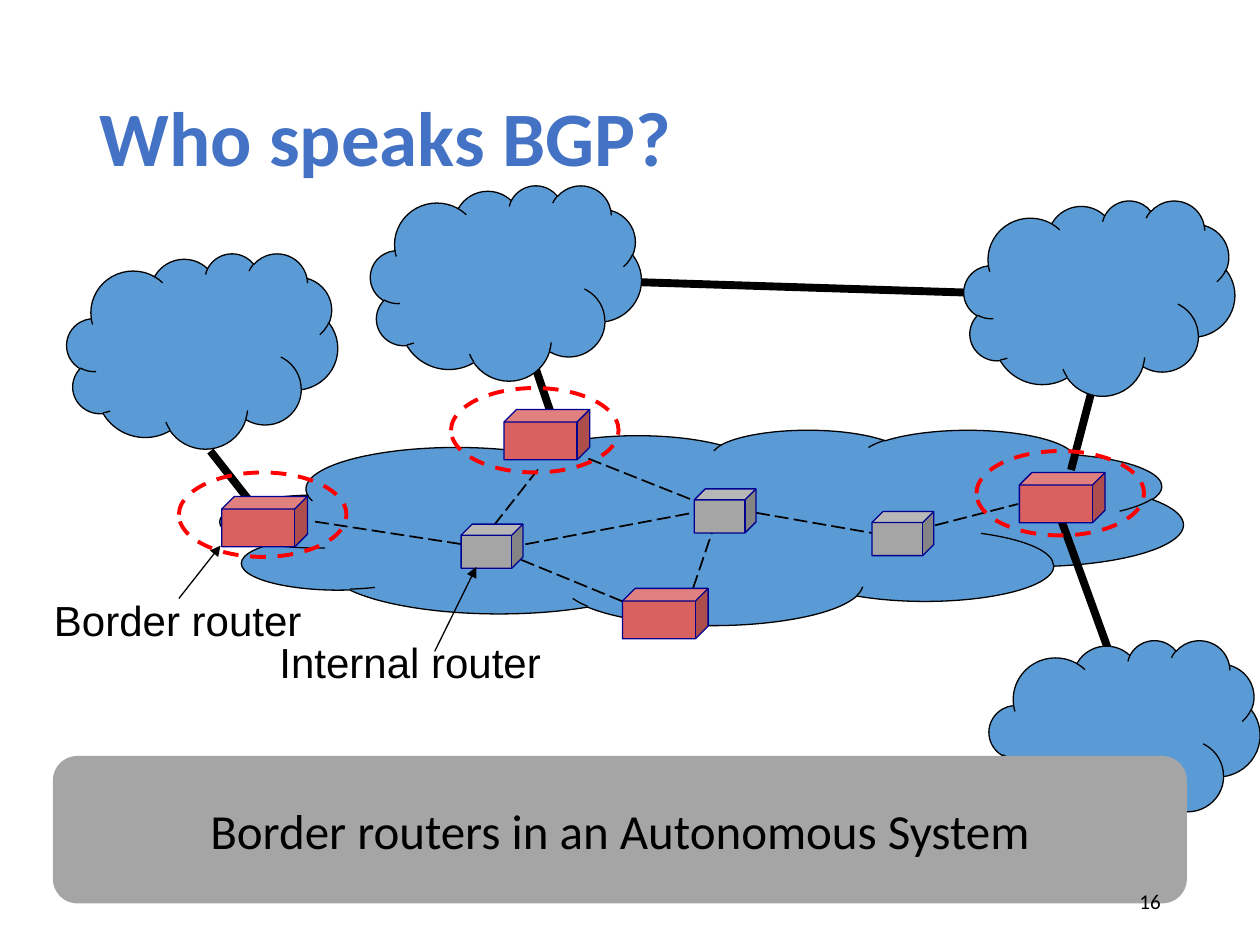
"""Build the slide that shows which routers of an autonomous system speak BGP."""
import pptx
import pptx.dml.color
import pptx.enum.dml
import pptx.enum.shapes
import pptx.enum.text
import pptx.oxml
import pptx.oxml.ns
import pptx.util

Inches = pptx.util.Inches
Pt = pptx.util.Pt
RGBColor = pptx.dml.color.RGBColor
SHAPE = pptx.enum.shapes.MSO_SHAPE
DASH = pptx.enum.dml.MSO_LINE
ALIGN = pptx.enum.text.PP_ALIGN
ANCHOR = pptx.enum.text.MSO_ANCHOR
AUTO = pptx.enum.text.MSO_AUTO_SIZE

BLACK = RGBColor(0x00, 0x00, 0x00)
TITLE_BLUE = RGBColor(0x44, 0x72, 0xC4)
CLOUD_BLUE = RGBColor(0x5B, 0x9B, 0xD5)
GRAY = RGBColor(0xA5, 0xA5, 0xA5)
ROUTER_RED = RGBColor(0xD9, 0x61, 0x5F)
ROUTER_EDGE = RGBColor(0x00, 0x00, 0x90)
RING_RED = RGBColor(0xFF, 0x00, 0x00)


def add_shape(kind, box, fill=None, line=None, width=0.75):
    sp = s.shapes.add_shape(kind, *map(Inches, box))
    sp.shadow.inherit = False
    if fill is None:
        sp.fill.background()
    else:
        sp.fill.solid()
        sp.fill.fore_color.rgb = fill
    if line is None:
        sp.line.fill.background()
    else:
        sp.line.color.rgb = line
        sp.line.width = Pt(width)
    return sp


def add_line(ends, width, dash=None, arrow=False):
    cx = s.shapes.add_connector(pptx.enum.shapes.MSO_CONNECTOR.STRAIGHT, *map(Inches, ends))
    cx.line.color.rgb = BLACK
    cx.line.width = Pt(width)
    if dash is not None:
        cx.line.dash_style = dash
    if arrow:
        tail = pptx.oxml.parse_xml(f'<a:tailEnd {pptx.oxml.ns.nsdecls("a")} type="triangle"/>')
        cx.line._get_or_add_ln().append(tail)
    cx._element.spPr.append(pptx.oxml.parse_xml(f'<a:effectLst {pptx.oxml.ns.nsdecls("a")}/>'))


prs = pptx.Presentation()
prs.slide_width = Inches(10)
prs.slide_height = Inches(7.5)
s = prs.slides.add_slide(prs.slide_layouts[5])

title = s.shapes.title
title.left, title.top, title.width, title.height = map(Inches, (0.69, 0.4, 8.62, 1.45))
tf = title.text_frame
tf.text = "Who speaks BGP?"
tf.vertical_anchor = ANCHOR.MIDDLE
p = tf.paragraphs[0]
p.alignment = ALIGN.LEFT
p.line_spacing = 0.9
r = p.runs[0]
r.font.color.rgb = TITLE_BLUE
for name, value in {"name": "Calibri", "size": Pt(44), "bold": True}.items():
    setattr(r.font, name, value)

add_shape(SHAPE.CLOUD, (1.75, 3.41, 7.64, 1.55), CLOUD_BLUE, BLACK)

external_links = [
    (5.08, 2.24, 7.92, 2.33),
    (8.83, 5.25, 8.42, 4.12),
    (1.67, 3.58, 2, 4),
    (4.25, 2.92, 4.42, 3.42),
    (8.67, 3.08, 8.5, 3.73),
]
for ends in external_links:
    add_line(ends, 4.5)

internal_links = [
    (2.5, 4.14, 3.67, 4.32),
    (3.92, 4.17, 4.29, 3.7),
    (4.17, 4.32, 5.5, 4.07),
    (5.5, 4.67, 5.67, 4.17),
    (7.42, 4.17, 8.08, 4),
    (5.08, 4.83, 4.08, 4.42),
    (6, 4.07, 6.92, 4.23),
    (4.67, 3.64, 5.5, 3.97),
]
for ends in internal_links:
    add_line(ends, 1, DASH.LONG_DASH)

for left, top in [(1.42, 3.75), (3.58, 3.08), (7.75, 3.58)]:
    ring = add_shape(SHAPE.OVAL, (left, top, 1.33, 0.67), line=RING_RED, width=2.25)
    ring.line.dash_style = DASH.DASH

for left, top in [(0.53, 2.01), (2.94, 1.47), (7.65, 1.59), (7.85, 5.08)]:
    add_shape(SHAPE.CLOUD, (left, top, 2.15, 1.55), CLOUD_BLUE, BLACK)

banner = add_shape(SHAPE.ROUNDED_RECTANGLE, (0.42, 6, 9, 1.17), GRAY)

for left, top in [(4, 3.25), (8.09, 3.75), (1.76, 3.94), (4.94, 4.67)]:
    add_shape(SHAPE.CUBE, (left, top, 0.68, 0.4), ROUTER_RED, ROUTER_EDGE)
for left, top in [(3.66, 4.16), (5.51, 3.88), (6.92, 4.06)]:
    add_shape(SHAPE.CUBE, (left, top, 0.49, 0.35), GRAY, ROUTER_EDGE)

for ends in [(1.42, 4.75, 1.75, 4.33), (3.45, 5.17, 3.78, 4.5)]:
    add_line(ends, 0.75, arrow=True)

border_label = s.shapes.add_textbox(*map(Inches, (0.33, 4.67, 2.19, 0.51)))
internal_label = s.shapes.add_textbox(*map(Inches, (2.12, 5, 2.3, 0.5)))
page_number = s.shapes.add_textbox(*map(Inches, (7.06, 6.95, 2.25, 0.4)))

label_frame = {"word_wrap": False, "auto_size": AUTO.SHAPE_TO_FIT_TEXT}
banner_frame = {"word_wrap": False, "vertical_anchor": ANCHOR.MIDDLE}
number_frame = {"word_wrap": True, "vertical_anchor": ANCHOR.MIDDLE}
texts = [
    (border_label, "Border router", "Arial", 24, ALIGN.LEFT, label_frame),
    (internal_label, "Internal router", "Arial", 24, ALIGN.LEFT, label_frame),
    (banner, "Border routers in an Autonomous System", "Calibri", 28, ALIGN.CENTER, banner_frame),
    (page_number, "16", "Calibri", 12, ALIGN.RIGHT, number_frame),
]
for sp, text, font, size, align, frame in texts:
    tf = sp.text_frame
    for name, value in frame.items():
        setattr(tf, name, value)
    p = tf.paragraphs[0]
    p.alignment = align
    r = p.add_run()
    r.text = text
    r.font.color.rgb = BLACK
    for name, value in {"name": font, "size": Pt(size)}.items():
        setattr(r.font, name, value)

prs.save("out.pptx")
